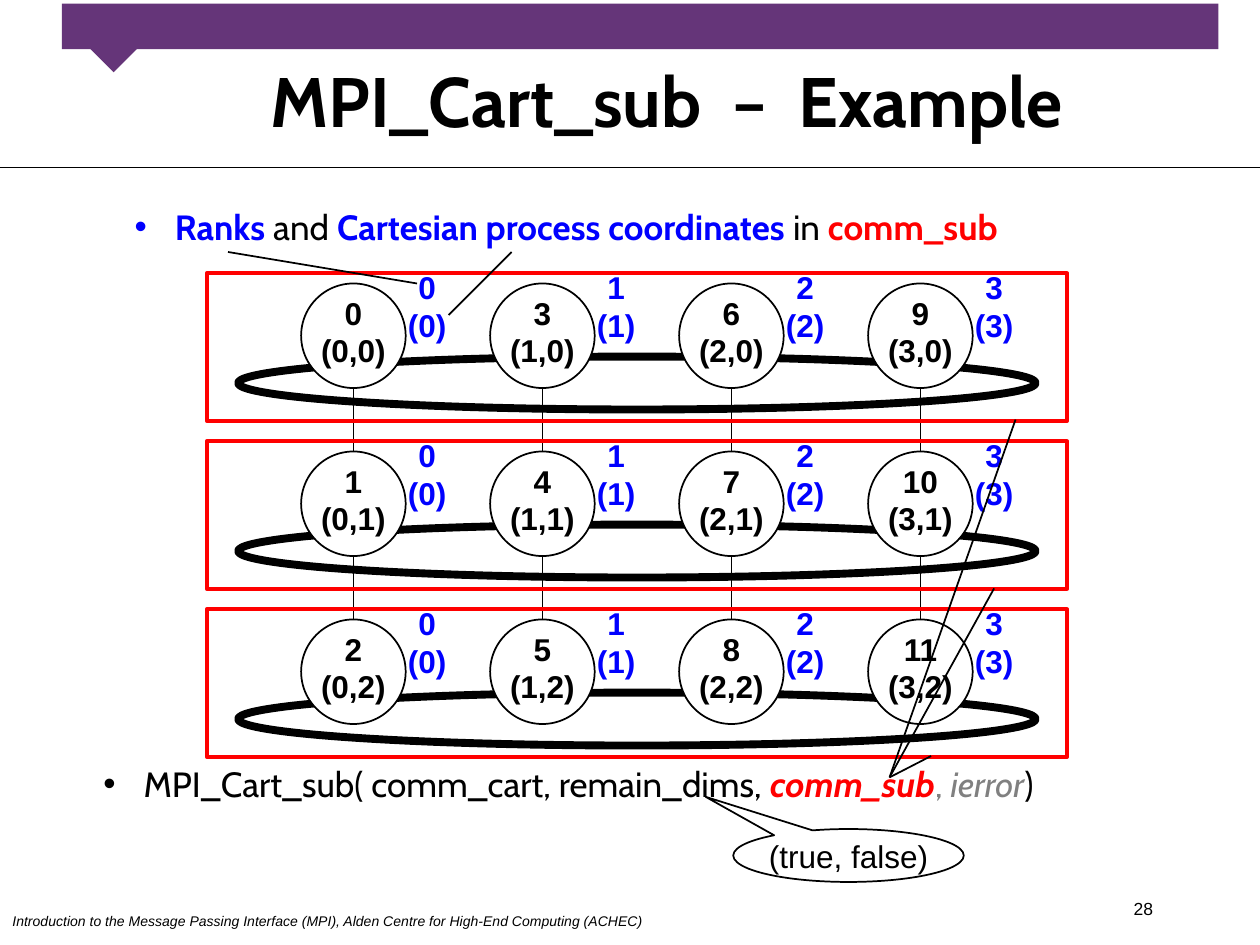
"""Build the MPI_Cart_sub example slide with its grid of processes."""
from dataclasses import dataclass
from typing import Optional

from lxml import etree
from pptx import Presentation
from pptx import slide as sl
from pptx import util as u
from pptx.dml.color import RGBColor
from pptx.enum import shapes, text
from pptx.oxml import ns

BLACK = RGBColor(0, 0, 0)
WHITE = RGBColor(255, 255, 255)
RED = RGBColor(255, 0, 0)
BLUE = RGBColor(0, 0, 255)
GRAY = RGBColor(128, 128, 128)
PURPLE = RGBColor(0x65, 0x35, 0x79)

COLUMNS, ROWS = 4, 3
COLUMN_STEP, ROW_STEP = 1.5, 4 / 3
CIRCLE_LEFT, CIRCLE_TOP, CIRCLE_SIZE = 2.39, 2.25, 0.83
SHAPE = shapes.MSO_SHAPE
ALIGN = text.PP_ALIGN


@dataclass(frozen=True)
class Box:
    left: float
    top: float
    width: float
    height: float

    def lengths(self) -> list:
        return [u.Inches(value) for value in (self.left, self.top, self.width, self.height)]

    def moved(self, column: int, row: int) -> "Box":
        return Box(self.left + column * COLUMN_STEP, self.top + row * ROW_STEP,
                   self.width, self.height)


@dataclass(frozen=True)
class Run:
    words: str
    size: float = 18
    color: RGBColor = BLACK
    bold: bool = False
    italic: bool = False
    font: str = "Arial"


@dataclass(frozen=True)
class Line:
    start: tuple
    end: tuple
    weight: float = 1


def write(paragraph, runs: list, align=ALIGN.LEFT) -> None:
    paragraph.alignment = align
    paragraph.space_before = u.Pt(0)
    for item in runs:
        run = paragraph.add_run()
        run.text = item.words
        run.font.name = item.font
        run.font.size = u.Pt(item.size)
        run.font.bold = item.bold
        run.font.italic = item.italic
        run.font.color.rgb = item.color


def prepare_frame(shape, wrap: bool = True, anchor=text.MSO_ANCHOR.TOP,
                  side: float = 0.1, edge: float = 0.05):
    frame = shape.text_frame
    frame.word_wrap = wrap
    frame.auto_size = text.MSO_AUTO_SIZE.NONE
    frame.vertical_anchor = anchor
    frame.margin_left = frame.margin_right = u.Inches(side)
    frame.margin_top = frame.margin_bottom = u.Inches(edge)
    return frame


def add_bullet(paragraph, color: RGBColor) -> None:
    properties = paragraph._p.get_or_add_pPr()
    properties.set("marL", str(u.Inches(0.32)))
    properties.set("indent", str(u.Inches(-0.32)))
    bullet_color = etree.SubElement(properties, ns.qn("a:buClr"))
    etree.SubElement(bullet_color, ns.qn("a:srgbClr"), val=str(color))
    etree.SubElement(properties, ns.qn("a:buFont"), typeface="Arial")
    etree.SubElement(properties, ns.qn("a:buChar"), char="•")


def add_text(slide: sl.Slide, box: Box, lines: list, align=ALIGN.LEFT, **frame_options):
    shape = slide.shapes.add_textbox(*box.lengths())
    frame = prepare_frame(shape, **frame_options)
    for index, runs in enumerate(lines):
        paragraph = frame.add_paragraph() if index else frame.paragraphs[0]
        write(paragraph, runs, align)
    return shape


def add_shape(slide: sl.Slide, kind, box: Box, fill: Optional[RGBColor] = None,
              line: Optional[RGBColor] = None, weight: float = 1):
    shape = slide.shapes.add_shape(kind, *box.lengths())
    shape.shadow.inherit = False
    if fill is None:
        shape.fill.background()
    else:
        shape.fill.solid()
        shape.fill.fore_color.rgb = fill
    if line is None:
        shape.line.fill.background()
    else:
        shape.line.color.rgb = line
        shape.line.width = u.Pt(weight)
    return shape


def add_line(slide: sl.Slide, line: Line) -> None:
    points = [u.Inches(value) for value in line.start + line.end]
    connector = slide.shapes.add_connector(shapes.MSO_CONNECTOR.STRAIGHT, *points)
    connector.line.color.rgb = BLACK
    connector.line.width = u.Pt(line.weight)
    etree.SubElement(connector._element.spPr, ns.qn("a:effectLst"))


def add_header(slide: sl.Slide) -> None:
    add_line(slide, Line((0, 1.33), (10, 1.33), 0.75))
    add_shape(slide, SHAPE.RECTANGLE, Box(0.49, 0.03, 9.18, 0.36), PURPLE)
    add_shape(slide, SHAPE.RECTANGLE, Box(0.77, 0.12, 0.32, 0.4), PURPLE).rotation = 45
    title = slide.shapes.title
    title.left, title.top, title.width, title.height = Box(1, 0.58, 8.58, 0.42).lengths()
    frame = prepare_frame(title, anchor=text.MSO_ANCHOR.MIDDLE)
    write(frame.paragraphs[0],
          [Run("MPI_Cart_sub  –  Example", 40, bold=True, font="Cabin")], ALIGN.CENTER)


def add_footer(slide: sl.Slide) -> None:
    credit = ("Introduction to the Message Passing Interface (MPI), "
              "Alden Centre for High-End Computing (ACHEC)")
    add_text(slide, Box(0, 7.19, 5.15, 0.24), [[Run(credit, 8, italic=True)]], wrap=False)
    add_text(slide, Box(7.17, 7.08, 2.08, 0.25), [[Run("28", 10)]], ALIGN.RIGHT)


def add_call(slide: sl.Slide) -> None:
    body = slide.placeholders[1]
    body.left, body.top, body.width, body.height = Box(0.72, 6, 8.85, 0.5).lengths()
    paragraph = prepare_frame(body).paragraphs[0]
    write(paragraph, [
        Run("MPI_Cart_sub( comm_cart, remain_dims, ", 20, font="Cabin"),
        Run("comm_sub", 20, RED, True, True, "Cabin"),
        Run(", ", 20, GRAY, font="Cabin"),
        Run("ierror", 20, GRAY, italic=True, font="Cabin"),
        Run(")", 20, font="Cabin")])
    add_bullet(paragraph, BLACK)


def add_grid(slide: sl.Slide) -> None:
    cells = [(column, row) for row in range(ROWS) for column in range(COLUMNS)]
    for row in range(ROWS):
        add_shape(slide, SHAPE.OVAL, Box(1.89, 2.83, 6.33, 0.42).moved(0, row),
                  line=BLACK, weight=4.5)
    for column in range(COLUMNS):
        center = CIRCLE_LEFT + CIRCLE_SIZE / 2 + column * COLUMN_STEP
        add_line(slide, Line((center, CIRCLE_TOP + CIRCLE_SIZE),
                             (center, CIRCLE_TOP + 2 * ROW_STEP)))
    circle = Box(CIRCLE_LEFT, CIRCLE_TOP, CIRCLE_SIZE, CIRCLE_SIZE)
    for column, row in cells:
        add_shape(slide, SHAPE.OVAL, circle.moved(column, row), WHITE, BLACK)
        lines = [[Run(str(column * ROWS + row), bold=True)],
                 [Run(f"({column},{row})", bold=True)]]
        add_text(slide, Box(2.55, 2.33, 0.51, 0.6).moved(column, row), lines, ALIGN.CENTER,
                 wrap=False, anchor=text.MSO_ANCHOR.MIDDLE, side=0, edge=0)
    for row in range(ROWS):
        add_shape(slide, SHAPE.RECTANGLE, Box(1.64, 2.17, 6.83, 1.17).moved(0, row),
                  line=RED, weight=2.25)
    for column, row in cells:
        lines = [[Run(words, color=BLUE, bold=True)] for words in (str(column), f"({column})")]
        add_text(slide, Box(3.14, 2.08, 0.5, 0.7).moved(column, row), lines, ALIGN.CENTER,
                 wrap=False)


def add_notes_on_grid(slide: sl.Slide) -> None:
    for end in ((7.39, 6), (7.89, 4.67), (8.06, 3.33)):
        add_line(slide, Line((7.06, 6.17), end))
    legend = add_text(slide, Box(0.97, 1.58, 8.6, 0.42), [[
        Run("Ranks", 20, BLUE, True, font="Cabin"),
        Run(" and ", 20, font="Cabin"),
        Run("Cartesian process coordinates ", 20, BLUE, True, font="Cabin"),
        Run("in ", 20, font="Cabin"),
        Run("comm_sub", 20, RED, True, font="Cabin")]])
    add_bullet(legend.text_frame.paragraphs[0], BLUE)
    add_line(slide, Line((1.81, 2), (3.31, 2.25)))
    add_line(slide, Line((4.06, 2), (3.56, 2.5)))
    callout = add_shape(slide, SHAPE.OVAL_CALLOUT, Box(5.82, 6.58, 1.83, 0.42), line=BLACK)
    callout.adjustments[0], callout.adjustments[1] = -0.62, -1.11
    frame = prepare_frame(callout, wrap=False, anchor=text.MSO_ANCHOR.MIDDLE, side=0)
    write(frame.paragraphs[0], [Run("(true, false)")], ALIGN.CENTER)


def main() -> None:
    presentation = Presentation()
    presentation.slide_width, presentation.slide_height = u.Inches(10), u.Inches(7.5)
    slide = presentation.slides.add_slide(presentation.slide_layouts[1])
    for build in (add_header, add_footer, add_call, add_grid, add_notes_on_grid):
        build(slide)
    presentation.save("out.pptx")


if __name__ == "__main__":
    main()
